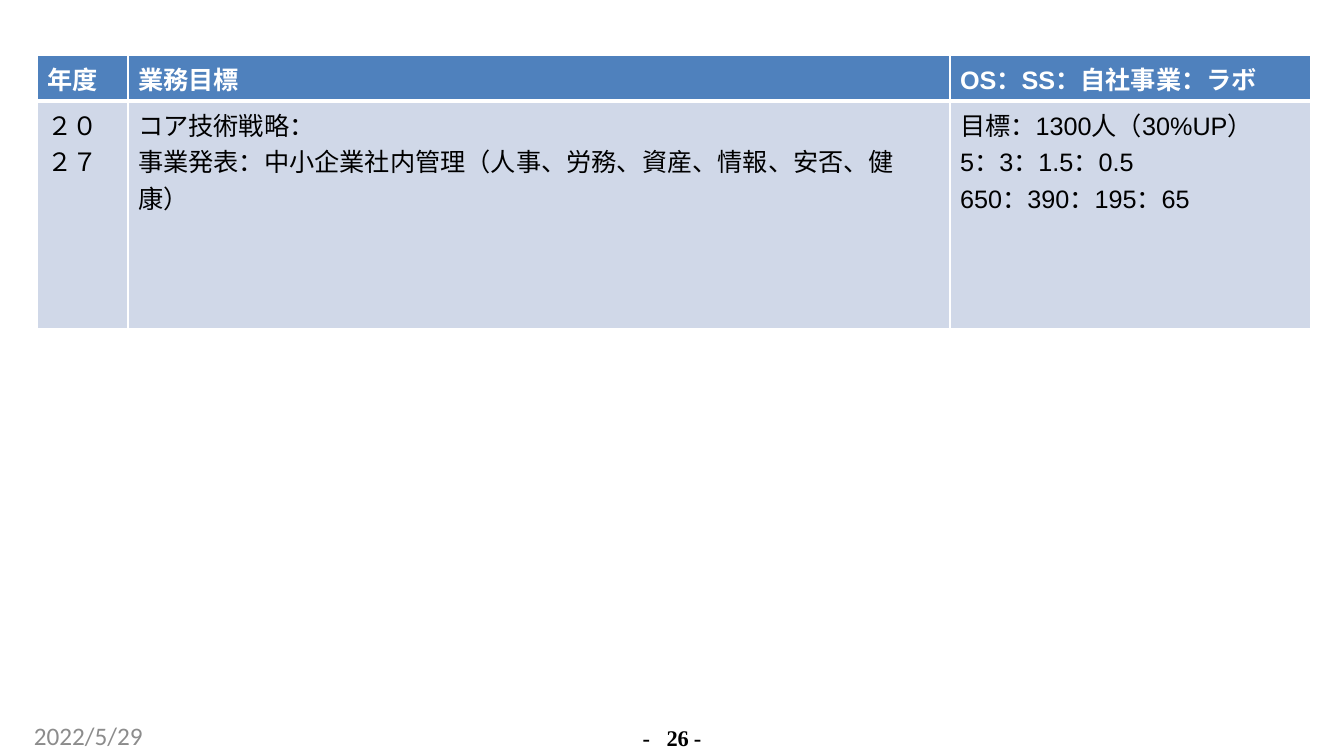
from lxml import etree
from pptx import Presentation, util as u
from pptx.dml.color import RGBColor
from pptx.enum import text as t
from pptx.oxml.ns import qn

HEADER = ["年度", "業務目標", "OS：SS：自社事業：ラボ"]
GOALS = [
    ["２０２７"],
    ["コア技術戦略：",
     "事業発表：中小企業社内管理（人事、労務、資産、情報、安否、健康）"],
    ["目標：1300人（30%UP）", "5：3：1.5：0.5", "650：390：195：65"],
]
DATE = "2022/5/29"
PAGE = "-\t26 -"

WHITE, BLACK, GREY = "FFFFFF", "000000", "8C8C8C"
HEADER_FILL, BODY_FILL = "4F81BD", "D0D8E8"

TABLE_LEFT, TABLE_TOP = 37, 55
COLUMN_WIDTHS = [91, 822, 361]
ROW_HEIGHTS = [46, 228]
DATE_BOX = (34, 720, 310, 30)
PAGE_BOX = (628, 725, 87, 25)
PAGE_TAB = 24


def px(length):
    return u.Emu(round(length * 914400 / 100.8))


def colour(value):
    return RGBColor.from_string(value)


def write(frame, lines, font="Arial", size=18, color=BLACK, bold=False,
          align=t.PP_ALIGN.LEFT):
    frame.word_wrap = True
    for index, line in enumerate(lines):
        paragraph = frame.paragraphs[0] if index == 0 else frame.add_paragraph()
        paragraph.alignment = align
        run = paragraph.add_run()
        run.text = line
        run.font.name = font
        run.font.size = u.Pt(size)
        run.font.bold = bold
        run.font.color.rgb = colour(color)


def add_borders(cell, widths):
    """Draw white cell edges; widths maps L, R, T, B to points, in that order."""
    properties = cell._tc.get_or_add_tcPr()
    for side, width in widths.items():
        edge = etree.SubElement(properties, qn("a:ln" + side), w=str(u.Pt(width)))
        fill = etree.SubElement(edge, qn("a:solidFill"))
        etree.SubElement(fill, qn("a:srgbClr"), val=WHITE)


def add_goal_table(slide):
    table = slide.shapes.add_table(
        2, len(HEADER), px(TABLE_LEFT), px(TABLE_TOP),
        px(sum(COLUMN_WIDTHS)), px(sum(ROW_HEIGHTS))).table
    for column, width in zip(table.columns, COLUMN_WIDTHS):
        column.width = px(width)
    for row, height in zip(table.rows, ROW_HEIGHTS):
        row.height = px(height)
    rows = [
        ([[label] for label in HEADER], HEADER_FILL, WHITE, True,
         dict(L=1, R=1, T=1, B=3)),
        (GOALS, BODY_FILL, BLACK, False, dict(L=1, R=1, T=3, B=1)),
    ]
    for row, (contents, fill, color, bold, edges) in zip(table.rows, rows):
        for cell, lines in zip(row.cells, contents):
            add_borders(cell, edges)
            cell.fill.solid()
            cell.fill.fore_color.rgb = colour(fill)
            write(cell.text_frame, lines, color=color, bold=bold)


def add_footer(slide, box):
    frame = slide.shapes.add_textbox(*map(px, box)).text_frame
    frame.margin_left = frame.margin_right = 0
    frame.margin_top = frame.margin_bottom = 0
    return frame


def add_page_number(slide):
    frame = add_footer(slide, PAGE_BOX)
    paragraph = frame.paragraphs[0]
    paragraph.line_spacing = u.Pt(18.4)
    properties = paragraph._p.get_or_add_pPr()
    properties.set("marL", str(px(1)))
    tabs = etree.SubElement(properties, qn("a:tabLst"))
    etree.SubElement(tabs, qn("a:tab"), pos=str(px(PAGE_TAB)), algn="l")
    write(frame, [PAGE], font="Times New Roman", size=16, bold=True,
          align=t.PP_ALIGN.CENTER)
    paragraph.runs[0].font._element.set("spc", "-10")


def main():
    deck = Presentation()
    deck.slide_width, deck.slide_height = px(1344), px(756)
    slide = deck.slides.add_slide(deck.slide_layouts[6])
    add_page_number(slide)
    write(add_footer(slide, DATE_BOX), [DATE], font="Calibri", color=GREY)
    add_goal_table(slide)
    deck.save("out.pptx")


if __name__ == "__main__":
    main()
